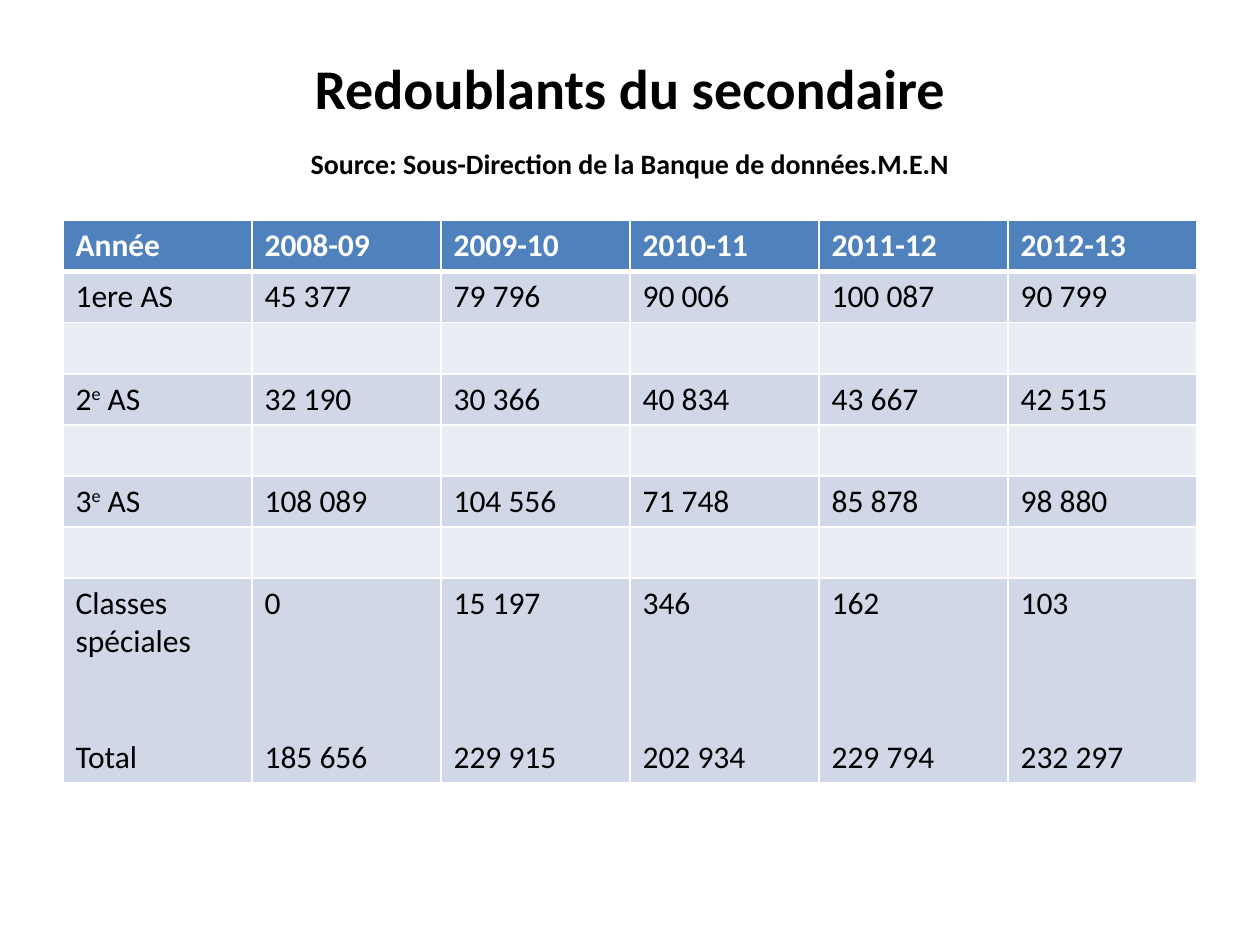
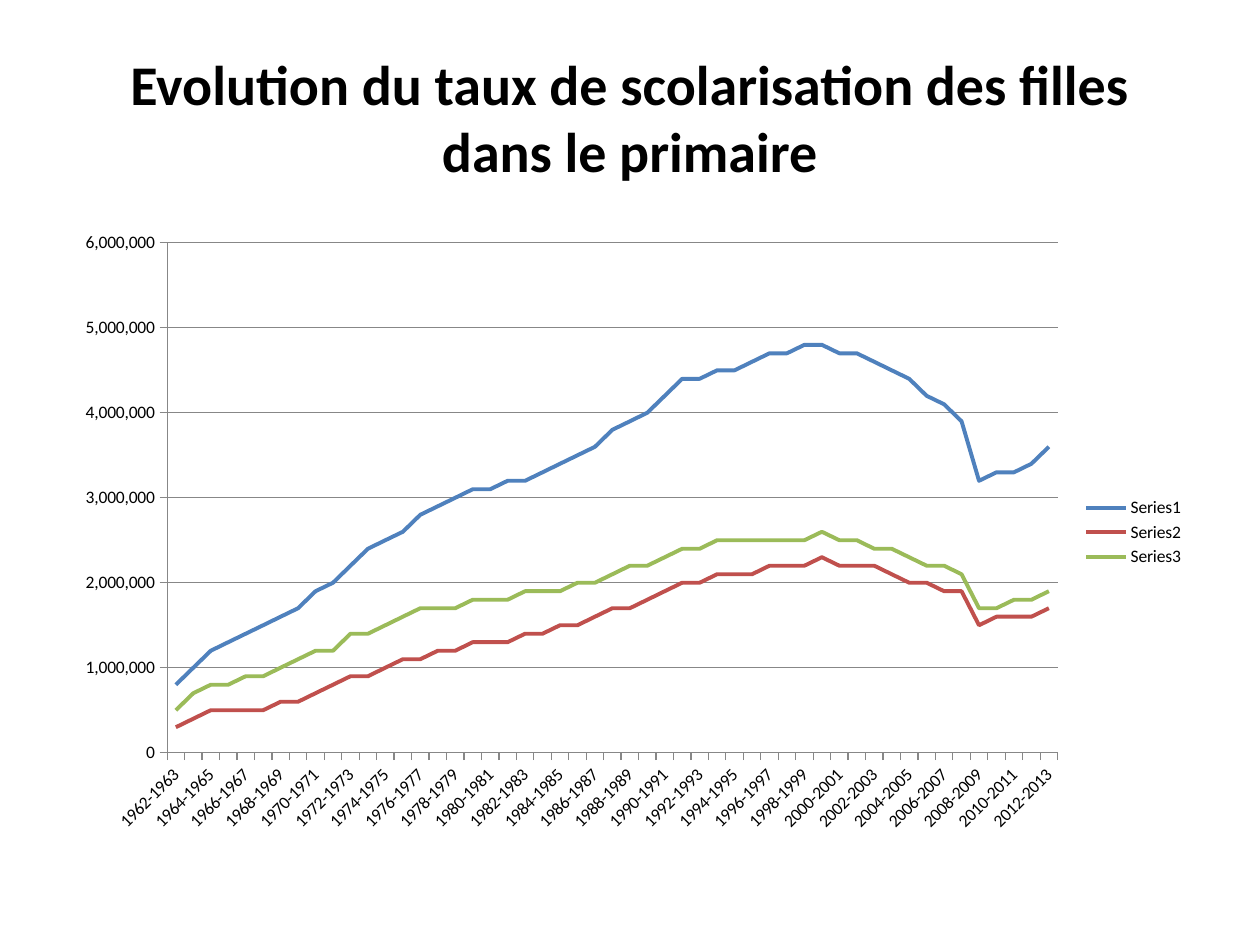
from dataclasses import dataclass

from lxml.etree import SubElement
from pptx import Presentation
from pptx.chart.data import CategoryChartData
from pptx.dml.color import RGBColor as Rgb
from pptx.enum.chart import XL_CHART_TYPE as ChartType, XL_LEGEND_POSITION as LegendSide
from pptx.enum.chart import XL_TICK_MARK as Tick
from pptx.enum.text import MSO_ANCHOR as Anchor, PP_ALIGN as Align
from pptx.oxml.ns import qn
from pptx.util import Inches, Pt


@dataclass(frozen=True)
class Theme:
    """Colours, font and type sizes shared by the slides."""
    font: str = "Calibri"
    ink: str = "000000"
    paper: str = "FFFFFF"
    header: str = "4F81BD"
    bands: tuple = ("D0D8E8", "E9EDF4")
    curves: tuple = ("4F81BD", "C0504D", "9BBB59")
    axis: str = "878787"
    title: int = 32
    source: int = 16
    cell: int = 18
    chart: int = 10
    cell_line: int = 22
    cell_padding: float = 7.2


@dataclass(frozen=True)
class Box:
    """A region measured in columns and rows of the slide grid."""
    column: float
    row: float
    columns: float
    rows: float

    def place(self):
        """Return left, top, width and height in slide units."""
        return (int(self.column * COLUMN), int(self.row * ROW),
                int(self.columns * COLUMN), int(self.rows * ROW))


THEME = Theme()
WIDTH, HEIGHT = Inches(10), Inches(7.5)
COLUMN, ROW = WIDTH / 20, HEIGHT / 30
TITLE_BOX = Box(1, 1.2, 18, 5)
TABLE_BOX = Box(1, 7, 18, 17.8)
CHART_BOX = Box(1, 7, 18, 19.8)

YEARS = ["Année", "2008-09", "2009-10", "2010-11", "2011-12", "2012-13"]
LEVELS = [
    ["1ere AS", "45 377", "79 796", "90 006", "100 087", "90 799"],
    ["2^e^ AS", "32 190", "30 366", "40 834", "43 667", "42 515"],
    ["3^e^ AS", "108 089", "104 556", "71 748", "85 878", "98 880"],
]
SPECIAL = ["Classes spéciales", "0", "15 197", "346", "162", "103"]
TOTAL = ["Total", "185 656", "229 915", "202 934", "229 794", "232 297"]

FIRST_YEAR = 1962
PUPIL_UNIT = 100000
ENROLMENT = {
    "Series1": [8, 10, 12, 13, 14, 15, 16, 17, 19, 20, 22, 24, 25, 26, 28, 29, 30,
                31, 31, 32, 32, 33, 34, 35, 36, 38, 39, 40, 42, 44, 44, 45, 45, 46,
                47, 47, 48, 48, 47, 47, 46, 45, 44, 42, 41, 39, 32, 33, 33, 34, 36],
    "Series2": [3, 4, 5, 5, 5, 5, 6, 6, 7, 8, 9, 9, 10, 11, 11, 12, 12,
                13, 13, 13, 14, 14, 15, 15, 16, 17, 17, 18, 19, 20, 20, 21, 21, 21,
                22, 22, 22, 23, 22, 22, 22, 21, 20, 20, 19, 19, 15, 16, 16, 16, 17],
    "Series3": [5, 7, 8, 8, 9, 9, 10, 11, 12, 12, 14, 14, 15, 16, 17, 17, 17,
                18, 18, 18, 19, 19, 19, 20, 20, 21, 22, 22, 23, 24, 24, 25, 25, 25,
                25, 25, 25, 26, 25, 25, 24, 24, 23, 22, 22, 21, 17, 17, 18, 18, 19],
}


def style_font(font, size, color=THEME.ink, bold=False):
    """Apply the theme font with a size, colour and weight."""
    font.name, font.size, font.bold = THEME.font, Pt(size), bold
    font.color.rgb = Rgb.from_string(color)


def write(frame, text, size, color=THEME.ink, bold=False, align=Align.LEFT,
          before=0, after=0):
    """Write one paragraph, raising the parts between carets."""
    paragraph = frame.paragraphs[0]
    if paragraph.runs:
        paragraph = frame.add_paragraph()
    paragraph.alignment = align
    paragraph.space_before, paragraph.space_after = Pt(before), Pt(after)
    for index, part in enumerate(text.split("^")):
        run = paragraph.add_run()
        run.text = part
        style_font(run.font, size, color, bold)
        if index % 2:
            run.font._element.set("baseline", "30000")


def add_title(slide, box, title, source=None):
    """Place the centred title with an optional source line."""
    frame = slide.shapes.add_textbox(*box.place()).text_frame
    frame.word_wrap = True
    frame.vertical_anchor = Anchor.MIDDLE
    write(frame, title, THEME.title, bold=True, align=Align.CENTER)
    if source:
        write(frame, source, THEME.source, bold=True, align=Align.CENTER,
              before=15, after=4)


def paint_cell(cell, fill, bottom=1):
    """Fill a cell and draw its white borders."""
    properties = cell._tc.get_or_add_tcPr()
    for side, width in (("lnL", 1), ("lnR", 1), ("lnT", 1), ("lnB", bottom)):
        line = SubElement(properties, qn(f"a:{side}"), w=str(Pt(width)))
        paint = SubElement(line, qn("a:solidFill"))
        SubElement(paint, qn("a:srgbClr"), val=THEME.paper)
    cell.fill.solid()
    cell.fill.fore_color.rgb = Rgb.from_string(fill)


def add_repeaters_table(slide, box):
    """Place the table of repeaters by level and year."""
    rows = [YEARS]
    for level in LEVELS:
        rows += [level, [""] * len(YEARS)]
    rows.append(SPECIAL)
    table = slide.shapes.add_table(len(rows), len(YEARS), *box.place()).table
    for row in table.rows:
        row.height = Pt(THEME.cell_line + THEME.cell_padding)
    table.rows[len(rows) - 1].height += Pt(4 * THEME.cell_line)
    for r, values in enumerate(rows):
        heading = r == 0
        for c, value in enumerate(values):
            cell = table.cell(r, c)
            fill = THEME.header if heading else THEME.bands[(r - 1) % 2]
            paint_cell(cell, fill, bottom=3 if heading else 1)
            if value:
                write(cell.text_frame, value, THEME.cell, bold=heading,
                      color=THEME.paper if heading else THEME.ink)
    for c, total in enumerate(TOTAL):
        gap_lines = 3 if c else 2
        write(table.cell(len(rows) - 1, c).text_frame, total, THEME.cell,
              before=gap_lines * THEME.cell_line)


def draw_line(line, color, width):
    """Set the colour and width of a chart line."""
    line.color.rgb = Rgb.from_string(color)
    line.width = Pt(width)


def add_enrolment_chart(slide, box):
    """Place the line chart of enrolment by school year."""
    data = CategoryChartData(number_format="#,##0")
    count = len(ENROLMENT["Series1"])
    data.categories = [f"{year}-{year + 1}"
                       for year in range(FIRST_YEAR, FIRST_YEAR + count)]
    for name, values in ENROLMENT.items():
        data.add_series(name, [value * PUPIL_UNIT for value in values])
    chart = slide.shapes.add_chart(ChartType.LINE, *box.place(), data).chart
    style_font(chart.font, THEME.chart)
    chart.has_title = False
    chart.has_legend = True
    chart.legend.position = LegendSide.RIGHT
    chart.legend.include_in_layout = False
    chart.plots[0].vary_by_categories = False
    for curve, color in zip(chart.plots[0].series, THEME.curves):
        curve.smooth = False
        draw_line(curve.format.line, color, 2.25)
    school_years, pupils = chart.category_axis, chart.value_axis
    for axis in (school_years, pupils):
        axis.major_tick_mark, axis.minor_tick_mark = Tick.OUTSIDE, Tick.NONE
        draw_line(axis.format.line, THEME.axis, 0.75)
        style_font(axis.tick_labels.font, THEME.chart)
    school_years._element.find(f".//{qn('a:bodyPr')}").set("rot", str(-45 * 60000))
    pupils.minimum_scale, pupils.maximum_scale = 0, 60 * PUPIL_UNIT
    pupils.major_unit = 10 * PUPIL_UNIT
    pupils.tick_labels.number_format = "#,##0"
    pupils.tick_labels.number_format_is_linked = False
    pupils.has_major_gridlines = True
    draw_line(pupils.major_gridlines.format.line, THEME.axis, 0.75)


def new_slide(deck):
    """Add a slide on the blank layout with the theme background."""
    slide = deck.slides.add_slide(deck.slide_layouts[6])
    slide.background.fill.solid()
    slide.background.fill.fore_color.rgb = Rgb.from_string(THEME.paper)
    return slide


def build():
    """Build the deck and save it."""
    deck = Presentation()
    deck.slide_width, deck.slide_height = WIDTH, HEIGHT
    repeaters = new_slide(deck)
    add_title(repeaters, TITLE_BOX, "Redoublants du secondaire",
              "Source: Sous-Direction de la Banque de données.M.E.N")
    add_repeaters_table(repeaters, TABLE_BOX)
    enrolment = new_slide(deck)
    add_title(enrolment, TITLE_BOX,
              "Evolution du taux de scolarisation des filles dans le primaire")
    add_enrolment_chart(enrolment, CHART_BOX)
    deck.save("out.pptx")


build()
